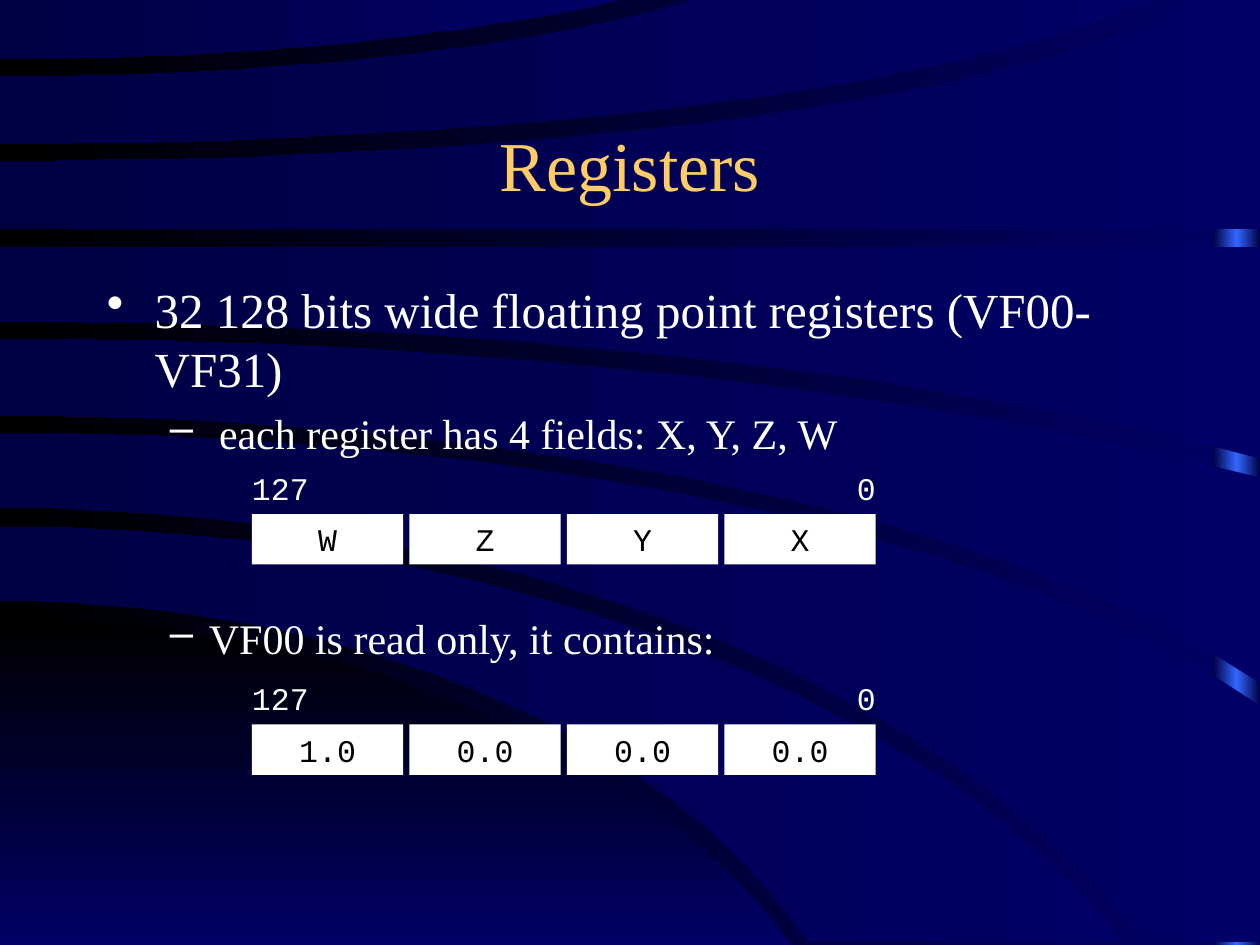
import math
from copy import deepcopy

from lxml import etree
from pptx import Presentation, util as u
from pptx.dml.color import RGBColor
from pptx.enum import shapes, text
from pptx.oxml import ns

PX = 9144  # EMU per px: 100 px to the inch
WIDTH, HEIGHT = 1000, 750

BLACK = RGBColor(0x00, 0x00, 0x00)
WHITE = RGBColor(0xFF, 0xFF, 0xFF)
GOLD = RGBColor(0xFF, 0xCC, 0x66)
NAVY = RGBColor(0x00, 0x00, 0x66)
DARK_NAVY = RGBColor(0x00, 0x00, 0x44)
BRIGHT_BLUE = RGBColor(0x33, 0x66, 0xFF)

SERIF, MONO = "Times New Roman", "Courier New"
LEFT, CENTER, RIGHT = text.PP_ALIGN.LEFT, text.PP_ALIGN.CENTER, text.PP_ALIGN.RIGHT

# Register diagrams
CELL_LEFT, CELL_STEP, CELL_WIDTH, CELL_HEIGHT = 200, 125, 120, 40
LABEL_RISE = 41
ARC_STEPS = 24


def arc(start, middle, end):
    """Points of the ellipse that leaves the left edge level at height start."""
    (x1, y1), (x2, y2) = middle, end
    d1, d2 = y1 - start, y2 - start
    radius = ((d1 / x1) ** 2 - (d2 / x2) ** 2) / (2 * (d1 / x1**2 - d2 / x2**2))
    ratio = (2 * d2 * radius - d2**2) / x2**2
    points = []
    for step in range(ARC_STEPS + 1):
        x = x2 * step / ARC_STEPS
        root = math.sqrt(max(radius**2 - ratio * x**2, 0))
        points.append((round(x), round(start + radius - math.copysign(root, radius))))
    return points


def level(y, right=WIDTH):
    return [(0, y), (right, y)]


def set_gradient(fill, colors, angle=180):
    """Spread the colours evenly along the gradient."""
    fill.gradient()
    fill.gradient_angle = angle
    first = fill.gradient_stops[0]._gs
    for _ in colors[2:]:
        first.addnext(deepcopy(first))
    for index, (stop, color) in enumerate(zip(fill.gradient_stops, colors)):
        stop.color.rgb = color
        stop.position = index / (len(colors) - 1)


def add_area(page, upper, lower, colors=(NAVY, DARK_NAVY), angle=180):
    points = upper + lower[::-1]
    builder = page.shapes.build_freeform(*points[0], scale=PX)
    builder.add_line_segments(points[1:], close=True)
    area = builder.convert_to_shape()
    area.shadow.inherit = False
    area.line.fill.background()
    set_gradient(area.fill, colors, angle)


def add_rect(page, left, top, width, height):
    rect = page.shapes.add_shape(
        shapes.MSO_SHAPE.RECTANGLE, left * PX, top * PX, width * PX, height * PX)
    rect.shadow.inherit = False
    rect.line.fill.background()
    return rect


def add_text_box(page, left, top, width, height):
    box = page.shapes.add_textbox(left * PX, top * PX, width * PX, height * PX)
    box.text_frame.word_wrap = True
    return box


def write(para, words, name, size, color, align=LEFT):
    para.text = words
    para.alignment = align
    para.font.name = name
    para.font.size = u.Pt(size)
    para.font.color.rgb = color


def add_bullet(para, mark, left, hanging):
    props = para._p.get_or_add_pPr()
    props.set("marL", str(left * PX))
    props.set("indent", str(-hanging * PX))
    etree.SubElement(props, ns.qn("a:buChar")).set("char", mark)


def add_background(page):
    set_gradient(page.background.fill, [NAVY, BLACK])
    edge = add_rect(page, 963, 0, 37, HEIGHT)
    set_gradient(edge.fill, [DARK_NAVY, BRIGHT_BLUE, DARK_NAVY])

    # Dark corner, then the curved bands from bottom to top
    add_area(page, arc(491, (327, 544), (628, 750)), [(0, 750)], [BLACK, NAVY], 270)
    add_area(page, arc(418, (561, 520), (893, 748)), arc(477, (454, 584), (642, 748)))
    add_area(page, arc(344, (570, 398), (1000, 560)),
             arc(403, (521, 489), (909, 748)) + [(1000, 748)])
    add_area(page, arc(269, (523, 296), (1000, 379)), arc(330, (560, 382), (1000, 542)))
    add_area(page, level(196), arc(255, (552, 284), (1000, 364)))
    add_area(page, arc(128, (554, 98), (940, 0)) + [(1000, 0)], level(182))
    add_area(page, arc(61, (309, 45), (549, 0)), arc(114, (545, 84), (912, 0)))
    add_area(page, [(0, 0)], arc(47, (253, 36), (492, 0)))


def add_title(page, words):
    frame = add_text_box(page, 75, 67, 850, 125).text_frame
    frame.vertical_anchor = text.MSO_ANCHOR.MIDDLE
    write(frame.paragraphs[0], words, SERIF, 40, GOLD, CENTER)


def add_body(page, items):
    frame = add_text_box(page, 75, 217, 850, 450).text_frame
    for index, (words, mark, left, hanging, size, before) in enumerate(items):
        para = frame.add_paragraph() if index else frame.paragraphs[0]
        add_bullet(para, mark, left, hanging)
        write(para, words, SERIF, size, WHITE)
        para.space_before = u.Pt(before)


def add_register(page, top, fields):
    """Draw one row of fields with its highest and lowest bit numbers above."""
    lefts = [CELL_LEFT + CELL_STEP * index for index in range(len(fields))]
    for left, field in zip(lefts, fields):
        cell = add_rect(page, left, top, CELL_WIDTH, CELL_HEIGHT)
        cell.fill.solid()
        cell.fill.fore_color.rgb = WHITE
        cell.text_frame.vertical_anchor = text.MSO_ANCHOR.TOP
        write(cell.text_frame.paragraphs[0], field, MONO, 18, BLACK, CENTER)
    for left, bit, align in ((lefts[0], "127", LEFT), (lefts[-1], "0", RIGHT)):
        label = add_text_box(page, left, top - LABEL_RISE, CELL_WIDTH, CELL_HEIGHT)
        label.text_frame.margin_left = label.text_frame.margin_right = 0
        write(label.text_frame.paragraphs[0], bit, MONO, 18, WHITE, align)


def main():
    deck = Presentation()
    deck.slide_width, deck.slide_height = WIDTH * PX, HEIGHT * PX
    page = deck.slides.add_slide(deck.slide_layouts[6])

    add_background(page)
    add_title(page, "Registers")
    add_body(page, [
        # words, bullet, left, hanging, size, space before
        ("32 128 bits wide floating point registers (VF00-VF31)", "•", 38, 38, 28, 0),
        ("each register has 4 fields: X, Y, Z, W", "–", 89, 39, 24, 6),
        ("VF00 is read only, it contains:", "–", 81, 31, 24, 88),
    ])
    add_register(page, 408, ["W", "Z", "Y", "X"])
    add_register(page, 575, ["1.0", "0.0", "0.0", "0.0"])
    deck.save("out.pptx")


if __name__ == "__main__":
    main()
